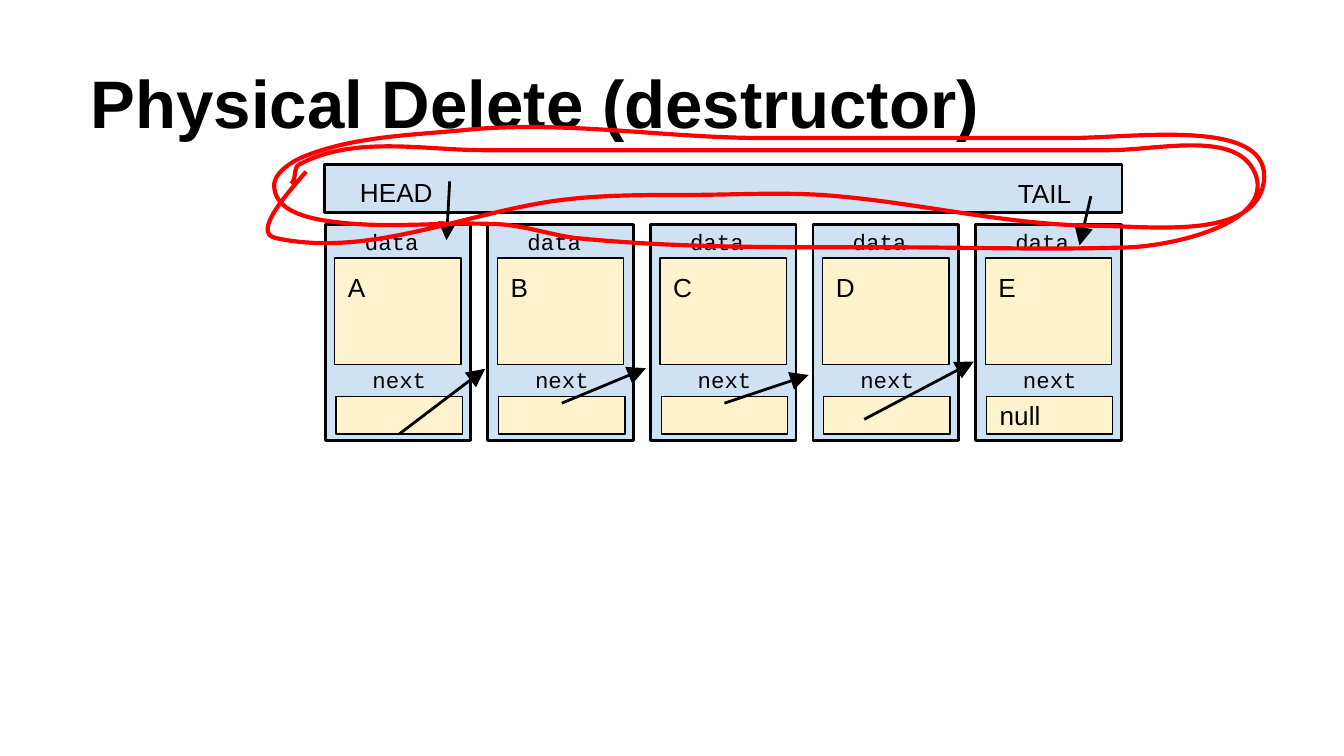
from lxml.etree import SubElement
from pptx import Presentation
from pptx.dml.color import RGBColor
from pptx.enum.shapes import MSO_CONNECTOR, MSO_SHAPE
from pptx.enum.text import MSO_ANCHOR, PP_ALIGN
from pptx.oxml.ns import qn
from pptx.util import Pt

BLACK = RGBColor(0, 0, 0)
BLUE = RGBColor(0xCF, 0xE2, 0xF3)
CREAM = RGBColor(0xFF, 0xF2, 0xCC)
RED = RGBColor(0xFF, 0, 0)
SANS, MONO = "Arial", "Courier New"
MARGIN = 7.2

TITLE = "Physical Delete (destructor)"
NODES = [("A", ""), ("B", ""), ("C", ""), ("D", ""), ("E", "null")]
NODE_LEFT, NODE_TOP, NODE_PITCH = 174.25, 120.25, 87.12
LIST_BAR = (173.9, 87.95, 427.2, 25.9)
POINTERS = [("HEAD", (185.75, 87.1, 55.5, 19.5)),
            ("TAIL", (538.2, 87.85, 59, 19.5))]

# Each arrow: x and y of its start, then of its head
NEXT_ARROWS = [(213.85, 232.55, 259.9, 197.6), (301, 216, 346, 197.3),
               (388.1, 216, 433.2, 200.9), (463, 224.65, 521.7, 193.7)]
POINTER_ARROWS = [(240.9, 97.2, 239.2, 128.7), (584.4, 105.1, 578.3, 131.5)]

# Outer box of the scribble, its start, then two control points and an end
# point per curve
SCRIBBLE_BOX = (143.3, 68.4, 533.9, 64.9)
SCRIBBLE_START = (164, 92)
SCRIBBLE = [
    ((155.5, 102), (134.5, 124.5), (147.5, 127.5)),
    ((193, 137.5), (240, 118), (286, 109.5)),
    ((312, 104.5), (339, 104.5), (366, 104.5)),
    ((390, 104.5), (416, 103), (440.5, 104.5)),
    ((490.5, 108), (539.5, 121), (589, 121)),
    ((619, 121.5), (672, 128), (677, 98)),
    ((682.5, 62.5), (608.5, 74), (572.5, 74)),
    ((518.5, 74), (464.5, 74), (409.5, 74)),
    ((355, 74), (300, 64), (246, 70)),
    ((218, 72.5), (188.5, 73.5), (162.5, 84)),
    ((155.5, 87), (145.5, 93.5), (147, 101)),
    ((148.5, 114), (167, 117.5), (180, 119)),
    ((207.5, 122.5), (235.5, 119), (263, 120)),
    ((278.5, 120), (293, 125.5), (308, 127.5)),
    ((363, 133), (417.5, 132.5), (472.5, 132.5)),
    ((517, 132.5), (562.5, 134), (606, 132.5)),
    ((632, 131), (680.5, 119), (673, 94.5)),
    ((664.5, 69), (621.5, 80.5), (594.5, 80.5)),
    ((530.5, 80.5), (466.5, 80.5), (402.5, 80.5)),
    ((355, 80.5), (307.5, 80.5), (259, 80.5)),
    ((227, 80.5), (190, 72.5), (160.5, 88)),
    ((157, 89.5), (159, 96), (156, 98.5)),
]


def write(sp, text, size, font=SANS, align=PP_ALIGN.LEFT,
          anchor=MSO_ANCHOR.TOP, bold=False):
    tf = sp.text_frame
    tf.text = text
    tf.word_wrap = True
    tf.vertical_anchor = anchor
    tf.margin_left = tf.margin_right = Pt(MARGIN)
    tf.margin_top = tf.margin_bottom = Pt(MARGIN)
    p = tf.paragraphs[0]
    p.alignment = align
    f = p.runs[0].font
    f.name, f.size, f.bold = font, Pt(size), bold
    f.color.rgb = BLACK


def add_box(shapes, box, fill, weight):
    sp = shapes.add_shape(MSO_SHAPE.RECTANGLE, *map(Pt, box))
    sp.shadow.inherit = False
    sp.fill.solid()
    sp.fill.fore_color.rgb = fill
    sp.line.color.rgb = BLACK
    sp.line.width = Pt(weight)
    return sp


def add_label(shapes, box, text, size, **style):
    write(shapes.add_textbox(*map(Pt, box)), text, size, **style)


def add_arrow(shapes, ends):
    c = shapes.add_connector(MSO_CONNECTOR.STRAIGHT, *map(Pt, ends))
    c.line.color.rgb = BLACK
    c.line.width = Pt(1.5)
    SubElement(c.line._get_or_add_ln(), qn("a:tailEnd"),
               type="triangle", w="lg", len="lg")
    SubElement(c._element.spPr, qn("a:effectLst"))


def add_node(shapes, x, y, value, link):
    add_box(shapes, (x, y, 78, 115.9), BLUE, 1.5)
    link_box = add_box(shapes, (x + 5.75, y + 92.15, 67.7, 20.2), CREAM, 0.75)
    if link:
        write(link_box, link, 14, anchor=MSO_ANCHOR.MIDDLE)
    add_label(shapes, (x + 14.1, y + 68.9, 51.1, 27.4), "next", 12,
              font=MONO, align=PP_ALIGN.CENTER)
    add_label(shapes, (x + 14.1, y - 5, 51.1, 27.4), "data", 12, font=MONO)
    data_box = add_box(shapes, (x + 5.1, y + 18, 67.7, 56.9), CREAM, 0.75)
    write(data_box, value, 14)


def add_scribble(shapes):
    """Draw the chain of Bezier curves inside its box as an open outline."""
    left, top, width, height = SCRIBBLE_BOX
    builder = shapes.build_freeform(Pt(left), Pt(top))
    builder.add_line_segments([(Pt(left + width), Pt(top + height))], close=False)
    sp = builder.convert_to_shape()
    outline = sp._element.spPr.find(".//" + qn("a:path"))
    for step in list(outline):
        outline.remove(step)
    for tag, points in [("a:moveTo", [SCRIBBLE_START])] + [
            ("a:cubicBezTo", curve) for curve in SCRIBBLE]:
        step = SubElement(outline, qn(tag))
        for x, y in points:
            SubElement(step, qn("a:pt"), x=str(int(Pt(x - left))),
                       y=str(int(Pt(y - top))))
    sp.shadow.inherit = False
    sp.fill.background()
    sp.line.color.rgb = RED
    sp.line.width = Pt(2.25)


def main():
    prs = Presentation()
    prs.slide_width, prs.slide_height = Pt(720), Pt(405)
    s = prs.slides.add_slide(prs.slide_layouts[5])

    title = s.shapes.title
    title.left, title.top, title.width, title.height = map(
        Pt, (41.4, 15.85, 648, 67.7))
    write(title, TITLE, 36, anchor=MSO_ANCHOR.BOTTOM, bold=True)

    shapes = s.shapes.add_group_shape().shapes
    for i, (value, link) in enumerate(NODES):
        add_node(shapes, NODE_LEFT + i * NODE_PITCH, NODE_TOP, value, link)
    for ends in NEXT_ARROWS:
        add_arrow(shapes, ends)
    add_box(shapes, LIST_BAR, BLUE, 1.5)
    for text, box in POINTERS:
        add_label(shapes, box, text, 14)
    for ends in POINTER_ARROWS:
        add_arrow(shapes, ends)

    add_scribble(s.shapes)
    prs.save("out.pptx")


if __name__ == "__main__":
    main()
